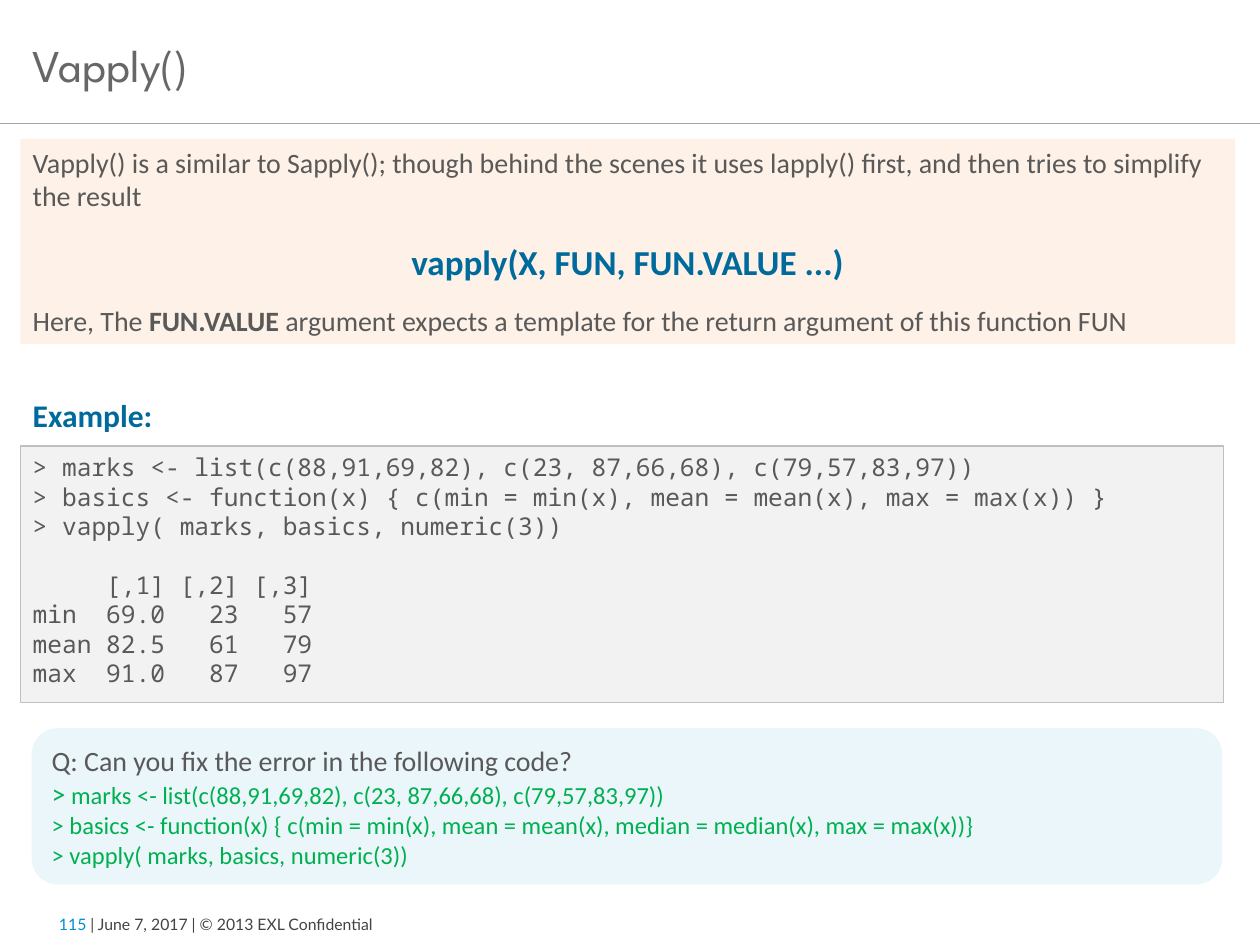
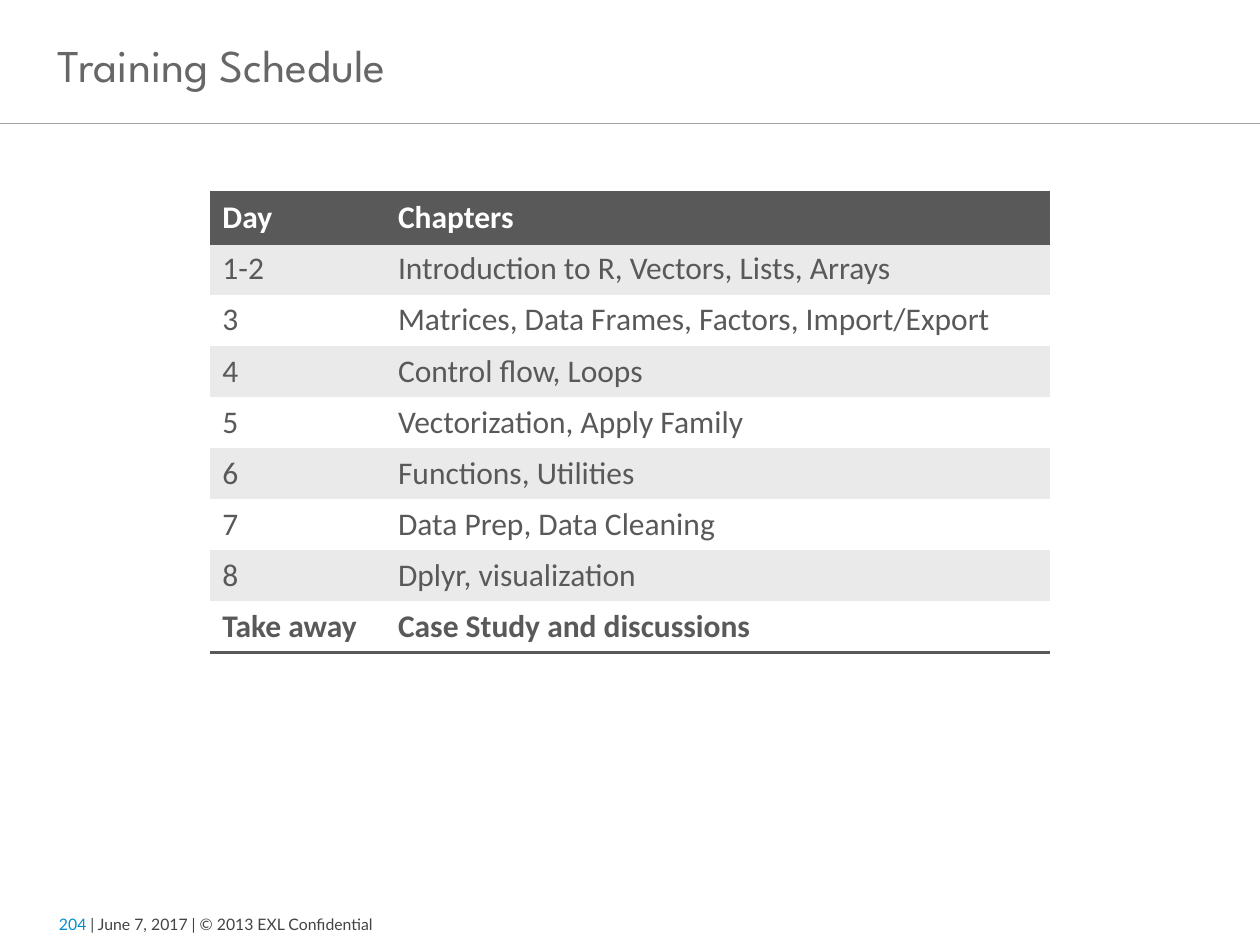
from lxml import etree
from pptx import Presentation
from pptx.dml.color import RGBColor
from pptx.enum.shapes import MSO_CONNECTOR, MSO_SHAPE
from pptx.enum.text import MSO_ANCHOR as ANCHOR, MSO_AUTO_SIZE as AUTO, PP_ALIGN as ALIGN
from pptx.oxml.ns import qn
from pptx.util import Cm, Pt

COLORS = {
    "text": "595959", "title": "676767", "accent": "006A9C", "code": "00B050",
    "number": "008ED0", "footer": "434343", "rule": "A6A6A6", "white": "FFFFFF",
    "peach": "FEF1E7", "grey": "F2F2F2", "edge": "BFBFBF", "sky": "EBF6FB",
    "band": "EAEAEA",
}
FONT, TITLE_FONT, CODE_FONT, FOOTER_FONT = "Calibri", "League Spartan", "Noto Sans Mono", "Lato"
NO_TABLE_STYLE = "{2D5ABB26-0587-4C30-8999-92F81FD0307C}"
CODE_LEADING = 16.8

CODE_LINES = [
    "> marks <- list(c(88,91,69,82), c(23, 87,66,68), c(79,57,83,97))",
    "> basics <- function(x) { c(min = min(x), mean = mean(x), max = max(x)) }",
    "> vapply( marks, basics, numeric(3))",
]
OUTPUT_LINES = [
    "     [,1] [,2] [,3]",
    "min  69.0   23   57",
    "mean 82.5   61   79",
    "max  91.0   87   97",
]
QUIZ_LINES = [
    [(">", {"size": 16}), " marks <- list(c(88,91,69,82), c(23, 87,66,68), c(79,57,83,97))"],
    "> basics <- function(x) { c(min = min(x), mean = mean(x), median = median(x), max = max(x))}",
    "> vapply( marks, basics, numeric(3))",
]
SCHEDULE = [
    ("Day", "Chapters"),
    ("1-2", "Introduction to R, Vectors, Lists, Arrays"),
    ("3", "Matrices, Data Frames, Factors, Import/Export"),
    ("4", "Control flow, Loops"),
    ("5", "Vectorization, Apply Family"),
    ("6", "Functions, Utilities"),
    ("7", "Data Prep, Data Cleaning"),
    ("8", "Dplyr, visualization"),
    ("Take away", "Case Study and discussions"),
]


def rgb(name):
    return RGBColor.from_string(COLORS[name])


def format_run(r, size=16, font=FONT, color="text", bold=False):
    r.font.size = Pt(size)
    r.font.name = font
    r.font.bold = bold
    r.font.color.rgb = rgb(color)


def write(tf, text, align=ALIGN.LEFT, before=0, leading=None, **fmt):
    """Add a paragraph made of a string, or of a list of strings and (string, format) pairs."""
    p = tf.add_paragraph() if tf.text else tf.paragraphs[0]
    p.alignment = align
    if before:
        p.space_before = Pt(before)
    if leading:
        p.line_spacing = Pt(leading)
    for part in [text] if isinstance(text, str) else text:
        content, own = (part, {}) if isinstance(part, str) else part
        r = p.add_run()
        r.text = content
        format_run(r, **{**fmt, **own})


def add_textbox(s, left, top, width, height, anchor=ANCHOR.TOP):
    tf = s.shapes.add_textbox(Cm(left), Cm(top), Cm(width), Cm(height)).text_frame
    tf.word_wrap = True
    tf.vertical_anchor = anchor
    return tf


def add_panel(s, left, top, width, height, fill, line=None,
              kind=MSO_SHAPE.RECTANGLE, anchor=ANCHOR.TOP):
    sp = s.shapes.add_shape(kind, Cm(left), Cm(top), Cm(width), Cm(height))
    sp.shadow.inherit = False
    sp.fill.solid()
    sp.fill.fore_color.rgb = rgb(fill)
    if line:
        sp.line.color.rgb = rgb(line)
        sp.line.width = Pt(0.75)
    else:
        sp.line.fill.background()
    tf = sp.text_frame
    tf.word_wrap = True
    tf.vertical_anchor = anchor
    return tf


def add_rule(s, y, width):
    c = s.shapes.add_connector(MSO_CONNECTOR.STRAIGHT, 0, Cm(y), width, Cm(y))
    c.line.color.rgb = rgb("rule")
    c.line.width = Pt(0.5)
    etree.SubElement(c._element.spPr, qn("a:effectLst"))


def add_slide(prs, title, number, left, width):
    s = prs.slides.add_slide(prs.slide_layouts[5])
    add_rule(s, 2.49, prs.slide_width)
    sp = s.shapes.title
    sp.left, sp.top, sp.width, sp.height = Cm(left), Cm(0.1), Cm(width), Cm(2.49)
    tf = sp.text_frame
    tf.auto_size = AUTO.NONE
    tf.vertical_anchor = ANCHOR.MIDDLE
    write(tf, title, leading=28, size=26, font=TITLE_FONT, color="title")
    footer = add_textbox(s, 0.94, 18.26, 9.65, 0.74, ANCHOR.MIDDLE)
    write(footer, [(f"{number} ", {"color": "number"}), "| June 7, 2017 | © 2013 EXL Confidential"],
          size=9, font=FOOTER_FONT, color="footer")
    return s


def set_border(cell, side, color, width):
    ln = etree.Element(qn(f"a:{side}"), w=str(Pt(width)))
    fill = etree.SubElement(ln, qn("a:solidFill"))
    etree.SubElement(fill, qn("a:srgbClr"), val=COLORS[color])
    cell._tc.get_or_add_tcPr().insert(0, ln)


def add_schedule(s, left, top, col_widths, row_height):
    last = len(SCHEDULE) - 1
    table = s.shapes.add_table(len(SCHEDULE), len(col_widths), Cm(left), Cm(top),
                               Cm(sum(col_widths)), Cm(row_height * len(SCHEDULE))).table
    table._tbl.tblPr.find(qn("a:tableStyleId")).text = NO_TABLE_STYLE
    for col, width in zip(table.columns, col_widths):
        col.width = Cm(width)
    for i, row in enumerate(SCHEDULE):
        table.rows[i].height = Cm(row_height)
        fill = "text" if i == 0 else "band" if i % 2 else "white"
        for j, text in enumerate(row):
            cell = table.cell(i, j)
            cell.fill.solid()
            cell.fill.fore_color.rgb = rgb(fill)
            write(cell.text_frame, text, size=18, bold=i in (0, last),
                  color="text" if i else "white")
            if i in (0, last):
                set_border(cell, "lnB", "text", 2)
            if i == 0:
                set_border(cell, "lnT", "text", 2)


def build_vapply(prs):
    s = add_slide(prs, "Vapply()", 115, 0.41, 24.59)
    intro = add_panel(s, 0.41, 2.8, 24.49, 4.14, "peach")
    write(intro, "Vapply() is a similar to Sapply(); though behind the scenes it uses lapply() first, "
                 "and then tries to simplify the result")
    write(intro, "vapply(X, FUN, FUN.VALUE ...)", align=ALIGN.CENTER, before=16,
          size=20, color="accent", bold=True)
    write(intro, ["Here, The ", ("FUN.VALUE ", {"bold": True}),
                  "argument expects a template for the return argument of this function FUN"],
          before=12.2)

    write(add_textbox(s, 0.41, 7.85, 24.49, 1.03), "Example:", size=18, color="accent", bold=True)
    code = add_panel(s, 0.41, 8.99, 24.26, 5.17, "grey", line="edge")
    for line in CODE_LINES + OUTPUT_LINES:
        write(code, line, before=CODE_LEADING if line == OUTPUT_LINES[0] else 0,
              leading=CODE_LEADING, size=14, font=CODE_FONT)

    quiz = add_panel(s, 0.64, 14.68, 24, 3.15, "sky", kind=MSO_SHAPE.ROUNDED_RECTANGLE,
                     anchor=ANCHOR.MIDDLE)
    write(quiz, "Q: Can you fix the error in the following code?")
    for line in QUIZ_LINES:
        write(quiz, line, size=14, color="code")


def build_training_schedule(prs):
    s = add_slide(prs, "Training Schedule", 204, 0.91, 24.1)
    add_schedule(s, 4.23, 3.88, (3.54, 13.39), 1.03)


def main():
    prs = Presentation()
    prs.slide_width, prs.slide_height = Cm(25.4), Cm(19.05)
    build_vapply(prs)
    build_training_schedule(prs)
    prs.save("out.pptx")


if __name__ == "__main__":
    main()
